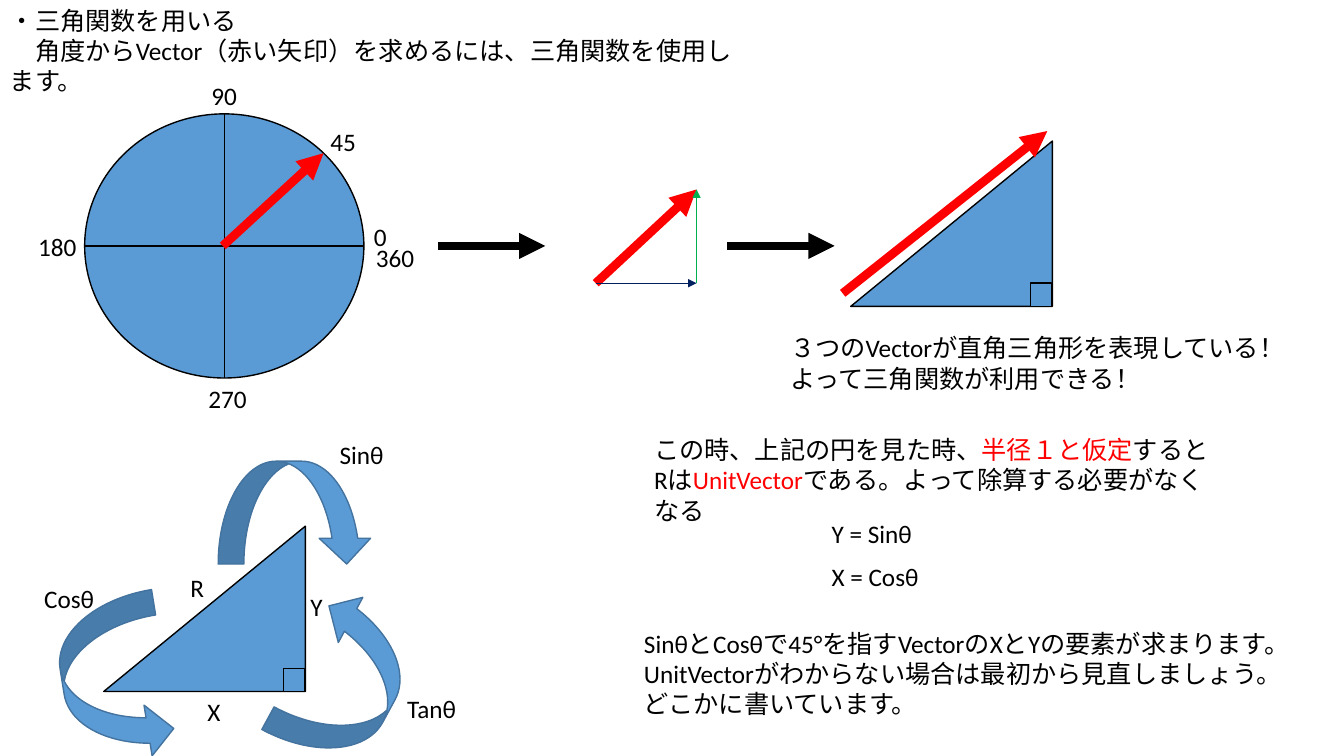
from dataclasses import dataclass
from lxml import etree
from pptx import Presentation
from pptx import util as u
from pptx.dml.color import RGBColor
from pptx.enum import shapes, text
from pptx.oxml.ns import qn

# The grid has ten columns and ten rows to the inch.
CELL = u.Inches(0.1)
COLS, ROWS = 133.33, 75
FONT, SIZE = "Calibri", 18
HUES = {"black": "000000", "red": "FF0000", "blue": "5B9BD5",
        "edge": "43739E", "navy": "002060", "green": "00B050"}
KIND = shapes.MSO_SHAPE


@dataclass
class Label:
    col: float
    row: float
    wide: float
    high: float
    lines: tuple[str, ...]  # parts between bars are red
    wrap: bool = False
    inset: bool = True


@dataclass
class Form:
    kind: KIND
    col: float
    row: float
    wide: float
    high: float
    edge: str = "black"
    turn: float = 0
    flip: str = ""


@dataclass
class Arrow:
    start: tuple[float, float]
    end: tuple[float, float]
    hue: str
    width: float = 6.25


def grid(*cells: float) -> list[int]:
    return [round(cell * CELL) for cell in cells]


def paint(name: str) -> RGBColor:
    return RGBColor.from_string(HUES[name])


def draw_label(slide, label: Label) -> None:
    box = slide.shapes.add_textbox(
        *grid(label.col, label.row, label.wide, label.high))
    frame = box.text_frame
    frame.word_wrap = label.wrap
    frame.auto_size = text.MSO_AUTO_SIZE.SHAPE_TO_FIT_TEXT
    if not label.inset:
        frame.margin_left = frame.margin_right = 0
        frame.margin_top = frame.margin_bottom = 0
    for i, line in enumerate(label.lines):
        para = frame.add_paragraph() if i else frame.paragraphs[0]
        para.font.name, para.font.size = FONT, u.Pt(SIZE)
        para.font.color.rgb = paint("black")
        for j, part in enumerate(line.split("|")):
            if part:
                run = para.add_run()
                run.text = part
                if j % 2:
                    run.font.color.rgb = paint("red")


def draw_form(slide, form: Form) -> None:
    shape = slide.shapes.add_shape(
        form.kind, *grid(form.col, form.row, form.wide, form.high))
    shape.shadow.inherit = False
    shape.fill.solid()
    shape.fill.fore_color.rgb = paint("blue")
    shape.line.color.rgb = paint(form.edge)
    shape.line.width = u.Pt(1)
    shape.rotation = form.turn
    if form.flip:
        shape._element.spPr.find(qn("a:xfrm")).set(form.flip, "1")


def draw_arrow(slide, arrow: Arrow) -> None:
    link = slide.shapes.add_connector(
        shapes.MSO_CONNECTOR.STRAIGHT, *grid(*arrow.start, *arrow.end))
    link.line.color.rgb = paint(arrow.hue)
    link.line.width = u.Pt(arrow.width)
    tip = etree.SubElement(link.line._get_or_add_ln(), qn("a:tailEnd"))
    tip.set("type", "triangle")
    etree.SubElement(link._element.spPr, qn("a:effectLst"))


def wedge(col: float, row: float) -> list[Form]:
    """Right triangle with its square corner mark."""
    return [Form(KIND.RIGHT_TRIANGLE, col, row, 20, 16.4, flip="flipH"),
            Form(KIND.RECTANGLE, col + 17.8, row + 14.1, 2.1, 2.3)]


CURVE = KIND.CURVED_RIGHT_ARROW
FORMS = [
    Form(KIND.FLOWCHART_OR, 8.4, 11.3, 27.7, 26.2),
    *wedge(84.4, 14),
    *wedge(10.3, 52.2),
    Form(CURVE, 24.2, 43.2, 10.2, 15.3, "edge", 90, "flipV"),
    Form(CURVE, 6.2, 59.2, 10.2, 16.5, "edge", 350.9),
    Form(CURVE, 29.3, 59.3, 10.2, 16.5, "edge", 208.5),
]

MID = 24.4
FOOT, SIDE, TIP = (59.1, 28.1), (69.1, 28.1), (69.1, 18.8)
ARROWS = [
    Arrow((22.1, MID), (32.1, 15.2), "red"),
    Arrow((43.5, MID), (54.1, MID), "black"),
    Arrow(FOOT, TIP, "red"),
    Arrow(FOOT, SIDE, "navy", 0.5),
    Arrow(SIDE, TIP, "green", 0.5),
    Arrow((72.1, MID), (82.8, MID), "black"),
    Arrow((83.6, 29.1), (103.9, 13), "red"),
]

MARKS = [
    (36.1, 21.5, 3.3, "0"), (20, 7.5, 4.6, "90"), (2.8, 22.5, 6.3, "180"),
    (19.7, 37.5, 6.3, "270"), (36.3, 23.5, 6.3, "360"),
    (31.8, 12, 4.6, "45"), (32.7, 43.1, 6.4, "Sinθ"),
    (3.4, 57.4, 7, "Cosθ"), (39.4, 68.3, 6.9, "Tanθ"),
    (19.6, 68.6, 3.3, "X"), (29.8, 58.2, 3.2, "Y"), (17.9, 56.3, 3.4, "R"),
]
LABELS = [
    *(Label(col, row, wide, 4, (word,)) for col, row, wide, word in MARKS),
    Label(0, 0, 74, 7.1, (
        "・三角関数を用いる",
        "　角度からVector（赤い矢印）を求めるには、三角関数を使用します。"), True),
    Label(77.4, 32.5, 49, 7.1, (
        "３つのVectorが直角三角形を表現している！",
        "よって三角関数が利用できる！"), True),
    Label(63.9, 42.6, 57.4, 7.1, (
        "この時、上記の円を見た時、|半径１と仮定|すると",
        "Rは|UnitVector|である。よって除算する必要がなくなる"), True),
    Label(82.5, 51.4, 8.1, 3, ("Y = Sinθ",), inset=False),
    Label(82.5, 55.7, 8.7, 3, ("X = Cosθ",), inset=False),
    Label(62.9, 61.8, 64.8, 10.1, (
        "SinθとCosθで45°を指すVectorのXとYの要素が求まります。",
        "UnitVectorがわからない場合は最初から見直しましょう。",
        "どこかに書いています。"), True),
]


def main() -> None:
    deck = Presentation()
    deck.slide_width, deck.slide_height = grid(COLS, ROWS)
    slide = deck.slides.add_slide(deck.slide_layouts[6])
    for form in FORMS:
        draw_form(slide, form)
    for arrow in ARROWS:
        draw_arrow(slide, arrow)
    for label in LABELS:
        draw_label(slide, label)
    deck.save("out.pptx")


if __name__ == "__main__":
    main()
